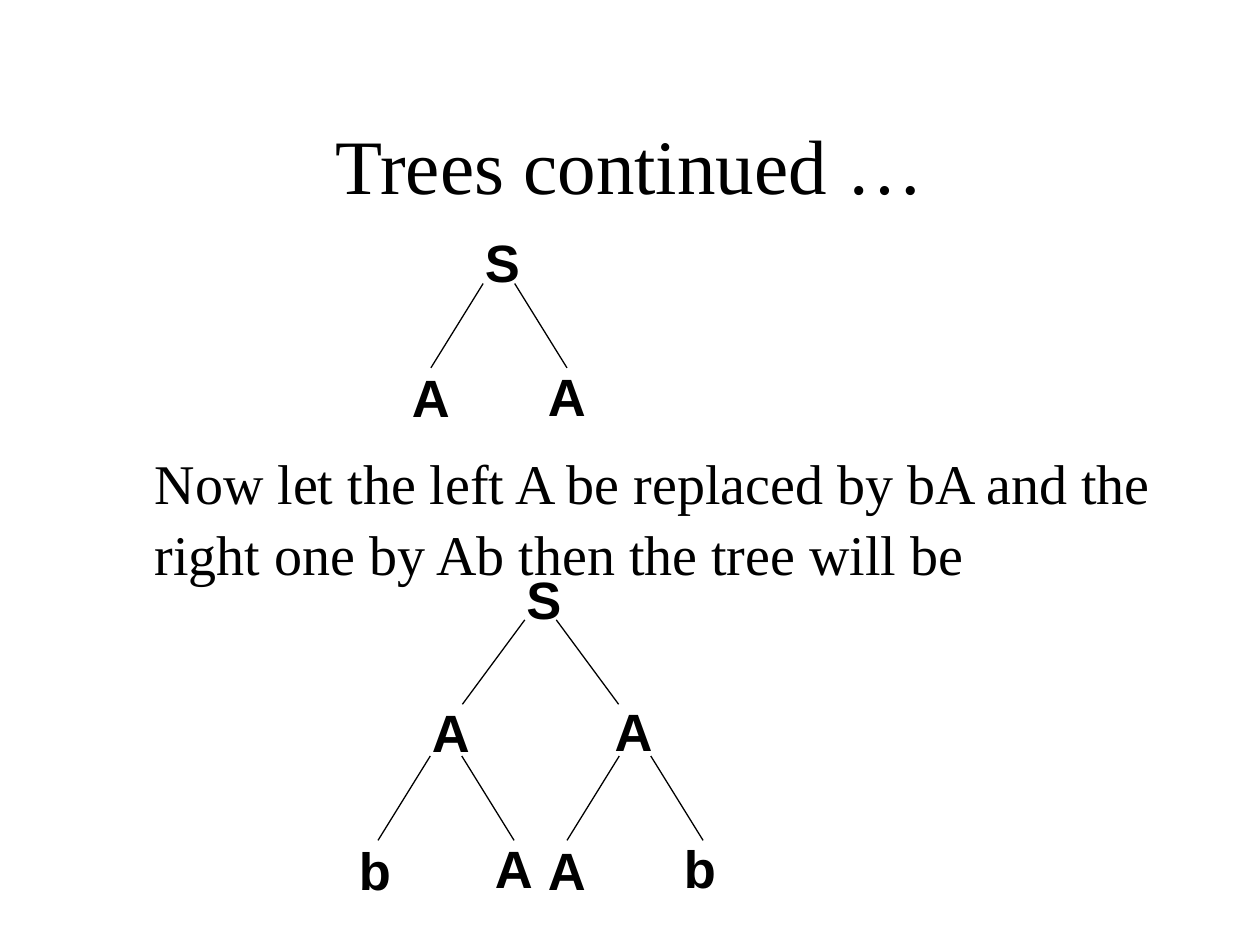
from lxml import etree
from pptx import Presentation
from pptx.dml.color import RGBColor
from pptx.enum import shapes, text
from pptx.oxml.ns import qn
from pptx.util import Inches, Pt

COLORS = {"ink": "000000"}
SERIF, SANS = "Times New Roman", "Arial"

# Label, left, top
NODES = [
    ("S", 3.75, 1.78), ("A", 3.17, 2.85), ("A", 4.25, 2.84),
    ("S", 4.08, 4.45), ("A", 3.33, 5.51), ("A", 4.78, 5.5),
    ("b", 2.75, 6.6), ("A", 3.83, 6.59),
    ("A", 4.25, 6.6), ("b", 5.33, 6.59),
]
# Centre, top, half width at the bottom
FORKS = [(3.96, 2.25, 0.54), (4.29, 4.92, 0.62),
         (3.54, 6, 0.54), (5.04, 6, 0.54)]


def add_text(s, content, left, top, width, height, size, font):
    tb = s.shapes.add_textbox(Inches(left), Inches(top),
                              Inches(width), Inches(height))
    tf = tb.text_frame
    tf.text = content
    tf.word_wrap = True
    p = tf.paragraphs[0]
    r = p.runs[0]
    r.font.size = Pt(size)
    r.font.name = font
    r.font.color.rgb = RGBColor.from_string(COLORS["ink"])
    return tf


def add_node(s, label, left, top):
    tf = add_text(s, label, left, top, 0.92, 0.6, 30, SANS)
    tf.paragraphs[0].runs[0].font.bold = True


def add_fork(s, center, top, spread):
    """Draw the two branches below a node."""
    for side in (-1, 1):
        line = s.shapes.add_connector(
            shapes.MSO_CONNECTOR.STRAIGHT,
            Inches(center + side * 0.125), Inches(top),
            Inches(center + side * spread), Inches(top + 0.67))
        line.line.color.rgb = RGBColor.from_string(COLORS["ink"])
        line.line.width = Pt(0.75)
        etree.SubElement(line._element.spPr, qn("a:effectLst"))


def main():
    prs = Presentation()
    prs.slide_width, prs.slide_height = Inches(10), Inches(7.5)
    s = prs.slides.add_slide(prs.slide_layouts[6])

    title = add_text(s, "Trees continued …", 0.75, 0.67, 8.5, 1.25, 44, SERIF)
    title.vertical_anchor = text.MSO_ANCHOR.MIDDLE
    title.paragraphs[0].alignment = text.PP_ALIGN.CENTER

    body = add_text(s, "Now let the left A be replaced by bA and the "
                    "right one by Ab then the tree will be",
                    1.13, 3.47, 8.3, 1.2, 32, SERIF)
    body.paragraphs[0].line_spacing = 1.07

    for fork in FORKS:
        add_fork(s, *fork)
    for node in NODES:
        add_node(s, *node)
    prs.save("out.pptx")


if __name__ == "__main__":
    main()
